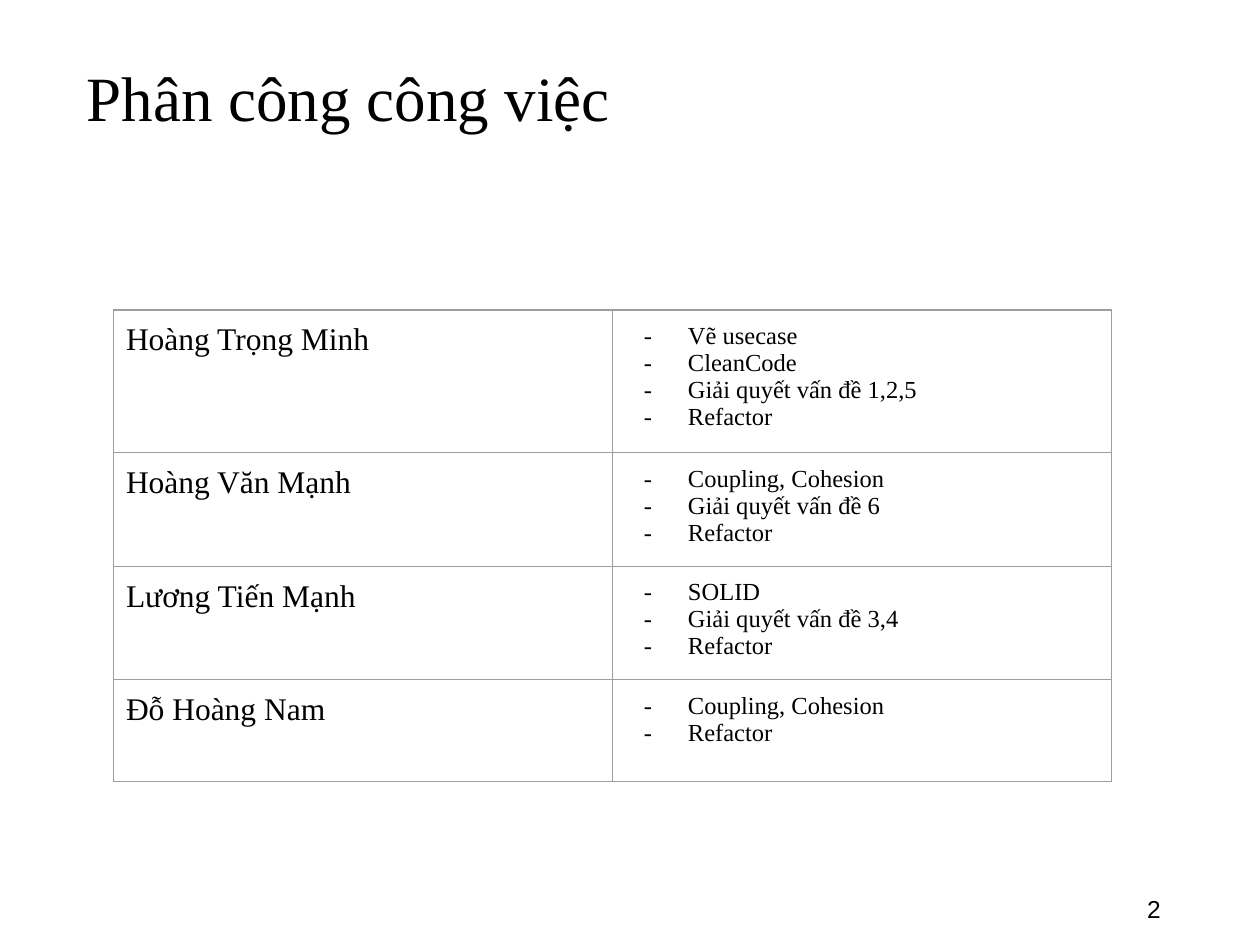
import pptx
import pptx.dml.color
import pptx.enum.text
import pptx.oxml
import pptx.oxml.ns
import pptx.util
from lxml import etree

BLACK = pptx.dml.color.RGBColor(0x00, 0x00, 0x00)
WHITE = pptx.dml.color.RGBColor(0xFF, 0xFF, 0xFF)
BORDER_GREY = pptx.dml.color.RGBColor(0x9E, 0x9E, 0x9E)

SERIF, SANS = "Times New Roman", "Arial"
SLIDE_WIDTH = pptx.util.Inches(10)
SLIDE_HEIGHT = pptx.util.Inches(7.5)
CELL_MARGIN = pptx.util.Inches(0.1)

ASSIGNMENTS = [
    ("Hoàng Trọng Minh",
     ["Vẽ usecase", "CleanCode", "Giải quyết vấn đề 1,2,5", "Refactor"]),
    ("Hoàng Văn Mạnh",
     ["Coupling, Cohesion", "Giải quyết vấn đề 6", "Refactor"]),
    ("Lương Tiến Mạnh",
     ["SOLID", "Giải quyết vấn đề 3,4", "Refactor"]),
    ("Đỗ Hoàng Nam",
     ["Coupling, Cohesion", "Refactor"]),
]
ROW_HEIGHTS = [0.85, 0.81, 0.81, 0.81]


def across(share):
    return round(SLIDE_WIDTH * share)


def down(share):
    return round(SLIDE_HEIGHT * share)


def add_bullet(paragraph, mark="-"):
    properties = paragraph._p.get_or_add_pPr()
    properties.set("marL", str(pptx.util.Inches(0.5)))
    properties.set("indent", str(pptx.util.Inches(-0.35)))
    color = etree.SubElement(properties, pptx.oxml.ns.qn("a:buClr"))
    etree.SubElement(color, pptx.oxml.ns.qn("a:srgbClr"), val=str(BLACK))
    etree.SubElement(properties, pptx.oxml.ns.qn("a:buFont"), typeface=SERIF)
    etree.SubElement(properties, pptx.oxml.ns.qn("a:buChar"), char=mark)


def write(frame, lines, size, font=SERIF, align=pptx.enum.text.PP_ALIGN.LEFT,
          spacing=None, bulleted=False):
    """Fill a text frame with one paragraph per line."""
    for index, line in enumerate(lines):
        paragraph = frame.add_paragraph() if index else frame.paragraphs[0]
        paragraph.alignment = align
        if spacing:
            paragraph.line_spacing = spacing
        if bulleted:
            add_bullet(paragraph)
        run = paragraph.add_run()
        run.text = line
        run.font.name = font
        run.font.size = pptx.util.Pt(size)
        run.font.color.rgb = BLACK


def add_text(slide, box, line, **text_format):
    """Place a vertically centred line; box is left, top, width, height in shares."""
    left, top, width, height = box
    frame = slide.shapes.add_textbox(
        across(left), down(top), across(width), down(height)).text_frame
    frame.word_wrap = True
    frame.vertical_anchor = pptx.enum.text.MSO_ANCHOR.MIDDLE
    write(frame, [line], **text_format)


def style_cell(cell):
    """Give a cell even margins, no fill and a thin border on every side."""
    cell.margin_left = cell.margin_right = CELL_MARGIN
    cell.margin_top = cell.margin_bottom = CELL_MARGIN
    cell.fill.background()
    properties = cell._tc.get_or_add_tcPr()
    for position, side in enumerate(("lnL", "lnR", "lnT", "lnB")):
        properties.insert(position, pptx.oxml.parse_xml(
            f'<a:{side} {pptx.oxml.ns.nsdecls("a")} w="{pptx.util.Pt(0.75)}">'
            f'<a:solidFill><a:srgbClr val="{BORDER_GREY}"/></a:solidFill>'
            f'</a:{side}>'))


def add_assignments(slide):
    table = slide.shapes.add_table(
        len(ASSIGNMENTS), 2, across(0.09), down(0.328), across(0.792),
        pptx.util.Inches(sum(ROW_HEIGHTS))).table
    table.first_row = False
    table.horz_banding = False
    for row, height, (member, tasks) in zip(table.rows, ROW_HEIGHTS, ASSIGNMENTS):
        row.height = pptx.util.Inches(height)
        member_cell, tasks_cell = row.cells
        style_cell(member_cell)
        style_cell(tasks_cell)
        write(member_cell.text_frame, [member], size=18)
        write(tasks_cell.text_frame, tasks, size=14, bulleted=True)


def main():
    deck = pptx.Presentation()
    deck.slide_width, deck.slide_height = SLIDE_WIDTH, SLIDE_HEIGHT
    slide = deck.slides.add_slide(deck.slide_layouts[6])
    slide.background.fill.solid()
    slide.background.fill.fore_color.rgb = WHITE

    add_text(slide, (0.806, 0.935, 0.125, 0.053), "2", size=14, font=SANS,
             align=pptx.enum.text.PP_ALIGN.RIGHT)
    add_text(slide, (0.059, 0.025, 0.881, 0.163), "Phân công công việc",
             size=36, spacing=0.9)
    add_assignments(slide)
    deck.save("out.pptx")


if __name__ == "__main__":
    main()
